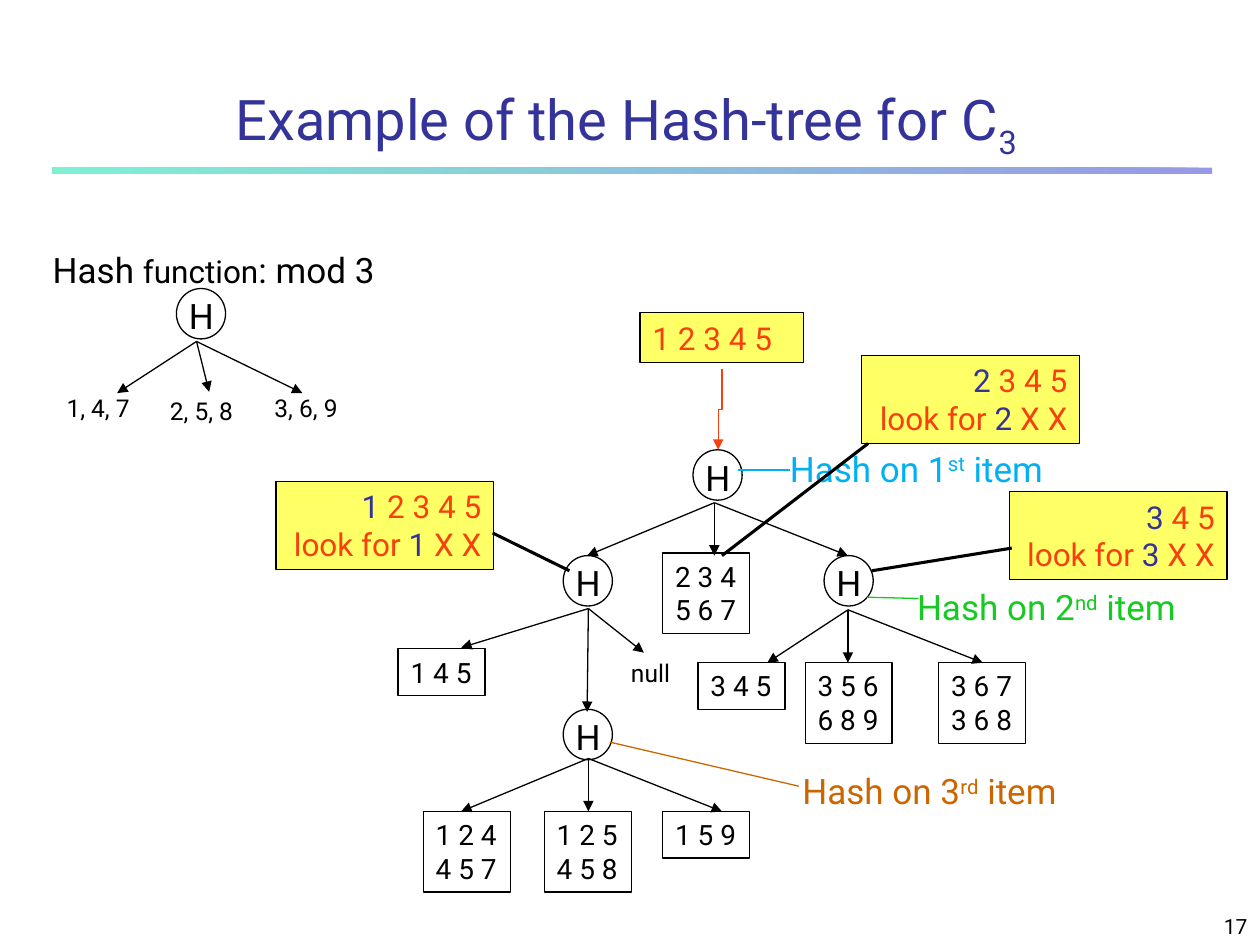
from dataclasses import dataclass

from lxml import etree
from pptx import Presentation
from pptx import util as u
from pptx.dml.color import RGBColor
from pptx.enum import shapes, text
from pptx.oxml.ns import qn

COLUMNS, ROWS = 100, 75
WIDTH, HEIGHT = u.Inches(10), u.Inches(7.5)
LEFT, CENTER, RIGHT = text.PP_ALIGN.LEFT, text.PP_ALIGN.CENTER, text.PP_ALIGN.RIGHT


@dataclass(frozen=True)
class Theme:
    """Colours, type sizes and line widths of the slide."""

    font: str = "Roboto"
    ink: str = "000000"
    accent: str = "333399"
    item: str = "F8400E"
    note: str = "FFFF66"
    first: str = "00B0F0"
    second: str = "15CB22"
    third: str = "CC6600"
    bar: tuple = ("3333CC", "00E4A8")
    title: int = 32
    label: int = 20
    itemset: int = 18
    leaf: int = 16
    small: int = 14
    number: int = 12
    thin: float = 0.75
    thick: float = 1.75


THEME = Theme()


def x(column):
    """Convert grid columns to a length."""
    return round(WIDTH * column / COLUMNS)


def y(row):
    """Convert grid rows to a length."""
    return round(HEIGHT * row / ROWS)


def cell(left, top, width, height):
    """Convert a grid rectangle to lengths."""
    return x(left), y(top), x(width), y(height)


def run(words, size, color=THEME.ink, baseline=0):
    """Describe one formatted run."""
    return words, size, color, baseline


def write(shape, lines, align=LEFT, wrap=False, anchor=text.MSO_ANCHOR.TOP, grow=True):
    """Fill a shape with lines of formatted runs."""
    frame = shape.text_frame
    frame.word_wrap = wrap
    frame.vertical_anchor = anchor
    frame.auto_size = text.MSO_AUTO_SIZE.SHAPE_TO_FIT_TEXT if grow else text.MSO_AUTO_SIZE.NONE
    for index, runs in enumerate(lines):
        paragraph = frame.add_paragraph() if index else frame.paragraphs[0]
        paragraph.alignment = align
        for words, size, color, baseline in runs:
            piece = paragraph.add_run()
            piece.text = words
            piece.font.name = THEME.font
            piece.font.size = u.Pt(size)
            piece.font.color.rgb = RGBColor.from_string(color)
            if baseline:
                piece.font._element.set("baseline", str(baseline * 1000))


def add_label(parent, box, lines, **layout):
    """Add a plain text box."""
    write(parent.shapes.add_textbox(*cell(*box)), lines, **layout)


def add_outline(parent, kind, box, fill=None):
    """Add a thinly outlined shape, filled on request."""
    shape = parent.shapes.add_shape(kind, *cell(*box))
    shape.shadow.inherit = False
    shape.line.color.rgb = RGBColor.from_string(THEME.ink)
    shape.line.width = u.Pt(THEME.thin)
    if fill:
        shape.fill.solid()
        shape.fill.fore_color.rgb = RGBColor.from_string(fill)
    else:
        shape.fill.background()
    return shape


def add_node(slide, left, top):
    """Add a round hash node with its letter."""
    group = slide.shapes.add_group_shape()
    add_outline(group, shapes.MSO_SHAPE.OVAL, (left, top, 3.9, 4))
    add_label(group, (left, top, 3.9, 4.4), [[run("H", THEME.label)]], wrap=True)


def add_leaf(slide, left, top, *itemsets):
    """Add a leaf that lists its itemsets."""
    box = (left, top, 6.9, 1 + 2.7 * len(itemsets))
    leaf = add_outline(slide, shapes.MSO_SHAPE.RECTANGLE, box)
    write(leaf, [[run(itemset, THEME.leaf)] for itemset in itemsets])


def add_lookup(slide, left, top, prefix, rest):
    """Add a yellow note with a fixed prefix and the remaining items."""
    note = add_outline(slide, shapes.MSO_SHAPE.RECTANGLE, (left, top, 17.3, 7), THEME.note)
    head = run(prefix + " ", THEME.itemset, THEME.accent)
    tail, look, rest_run = (
        run(words, THEME.itemset, THEME.item) for words in ("X X", "look for ", rest)
    )
    write(note, [[head, rest_run], [look, head, tail]], align=RIGHT)


def add_level(slide, left, top, width, number, suffix, color):
    """Add the label of one tree level."""
    runs = [
        run(f"Hash on {number}", THEME.label, color),
        run(suffix, THEME.label, color, 30),
        run(" item", THEME.label, color),
    ]
    add_label(slide, (left, top, width, 4.4), [runs])


def add_line(slide, start, end, color=THEME.ink, width=THEME.thin, arrow=False,
             kind=shapes.MSO_CONNECTOR.STRAIGHT):
    """Add a connector between two grid points."""
    line = slide.shapes.add_connector(kind, x(start[0]), y(start[1]), x(end[0]), y(end[1]))
    line.line.color.rgb = RGBColor.from_string(color)
    line.line.width = u.Pt(width)
    if arrow:
        etree.SubElement(line.line._get_or_add_ln(), qn("a:tailEnd"), type="triangle")
    etree.SubElement(line._element.spPr, qn("a:effectLst"))
    return line


def add_branches(slide, root, *tips):
    """Add arrows from one root to each tip."""
    for tip in tips:
        add_line(slide, root, tip, arrow=True)


def add_downward_elbow(slide, start, end, color):
    """Add a bent arrow that leaves and arrives vertically."""
    middle_x, middle_y = (start[0] + end[0]) / 2, (start[1] + end[1]) / 2
    along, across = (end[1] - start[1]) / 2, (start[0] - end[0]) / 2
    elbow = add_line(slide, (middle_x - along, middle_y - across),
                     (middle_x + along, middle_y + across), color, arrow=True,
                     kind=shapes.MSO_CONNECTOR.ELBOW)
    elbow._element.spPr.find(qn("a:xfrm")).set("rot", "5400000")


def add_title_bar(slide):
    """Add the translucent gradient rule under the title."""
    bar = slide.shapes.add_shape(shapes.MSO_SHAPE.RECTANGLE, *cell(4.2, 13.3, 92, 0.5))
    bar.shadow.inherit = False
    bar.line.fill.background()
    bar.fill.gradient()
    bar.fill.gradient_angle = 180
    for stop, color in zip(bar.fill.gradient_stops, THEME.bar):
        stop.color.rgb = RGBColor.from_string(color)
    for color in bar._element.spPr.iter(qn("a:srgbClr")):
        etree.SubElement(color, qn("a:alpha"), val="50000")


def add_title(slide):
    """Place and format the title placeholder."""
    title = slide.shapes.title
    title.left, title.top, title.width, title.height = cell(10.1, 3.9, 79.2, 11.7)
    runs = [run("Example of the Hash-tree for C", THEME.title, THEME.accent),
            run("3", THEME.title, THEME.accent, -25)]
    write(title, [runs], CENTER, True, text.MSO_ANCHOR.MIDDLE, False)


def add_hash_function(slide):
    """Add the key that explains the hash function."""
    runs = [run("Hash ", THEME.label), run("function", THEME.itemset), run(": mod 3", THEME.label)]
    add_label(slide, (3.2, 19.2, 28.9, 4.4), [runs])
    add_branches(slide, (15.6, 27.1), (9.3, 31.2), (16.6, 31.1), (24, 31.2))
    add_node(slide, 14, 22.9)
    for left, top, bucket in ((4.3, 30.7, "1, 4, 7"), (12.5, 30.9, "2, 5, 8"), (20.8, 30.7, "3, 6, 9")):
        add_label(slide, (left, top, 7.4, 3.4), [[run(bucket, THEME.small)]])


def add_tree(slide):
    """Add the hash tree with its nodes, leaves and level labels."""
    add_branches(slide, (56.7, 39.9), (56.7, 44.1), (46.6, 44.1), (67.3, 44.1))
    add_branches(slide, (46.7, 48.3), (46.6, 56.5), (36.6, 51.4), (51.1, 51.8))
    add_branches(slide, (67.3, 48.4), (67.3, 52.6), (60.9, 52.6), (78, 52.6))
    add_branches(slide, (46.7, 60.2), (46.7, 64.4), (36.6, 64.4), (57.3, 64.4))
    for left, top in ((55, 35.7), (44.7, 44.1), (65.4, 44.1), (44.7, 56.3)):
        add_node(slide, left, top)
    for leaf in ((52.6, 43.9, "2 3 4", "5 6 7"), (31.6, 51.5, "1 4 5"),
                 (33.6, 64.4, "1 2 4", "4 5 7"), (43.2, 64.4, "1 2 5", "4 5 8"),
                 (52.6, 64.4, "1 5 9"), (55.4, 52.6, "3 4 5"),
                 (63.9, 52.6, "3 5 6", "6 8 9"), (74.5, 52.6, "3 6 7", "3 6 8")):
        add_leaf(slide, *leaf)
    add_label(slide, (49.1, 51.7, 5.4, 3.4), [[run("null", THEME.small)]])
    add_line(slide, (58.6, 37.3), (62.7, 37.3), THEME.first)
    add_level(slide, 61.7, 35, 23.1, 1, "st", THEME.first)
    add_line(slide, (68.8, 47.4), (72.9, 47.5), THEME.second)
    add_level(slide, 71.8, 46, 23.7, 2, "nd", THEME.second)
    add_line(slide, (48.4, 58.9), (63.4, 62.4), THEME.third)
    add_level(slide, 62.7, 60.6, 23.4, 3, "rd", THEME.third)


def add_lookups(slide):
    """Add the transaction and the lookups it leads to."""
    transaction = add_outline(slide, shapes.MSO_SHAPE.RECTANGLE, (50.8, 24.8, 13, 4), THEME.note)
    write(transaction, [[run("1 2 3 4 5", THEME.itemset, THEME.item)]], wrap=True)
    add_downward_elbow(slide, (57.3, 29.3), (57, 35.7), THEME.item)
    for left, top, prefix, rest, start, end in (
        (21.9, 38.2, "1", "2 3 4 5", (39.1, 42.3), (45.2, 45.3)),
        (68.4, 28.2, "2", "3 4 5", (68.9, 35.2), (57.3, 44.1)),
        (80.1, 39, "3", "4 5", (80.3, 43.5), (69.2, 45.3)),
    ):
        add_lookup(slide, left, top, prefix, rest)
        add_line(slide, start, end, width=THEME.thick)


def main():
    """Build the slide and save it."""
    presentation = Presentation()
    presentation.slide_width, presentation.slide_height = WIDTH, HEIGHT
    slide = presentation.slides.add_slide(presentation.slide_layouts[5])
    add_title_bar(slide)
    add_title(slide)
    add_tree(slide)
    add_lookups(slide)
    add_hash_function(slide)
    add_label(slide, (79.2, 70.8, 20.8, 4.2), [[run("17", THEME.number)]], align=RIGHT,
              wrap=True, anchor=text.MSO_ANCHOR.BOTTOM, grow=False)
    presentation.save("out.pptx")


if __name__ == "__main__":
    main()
